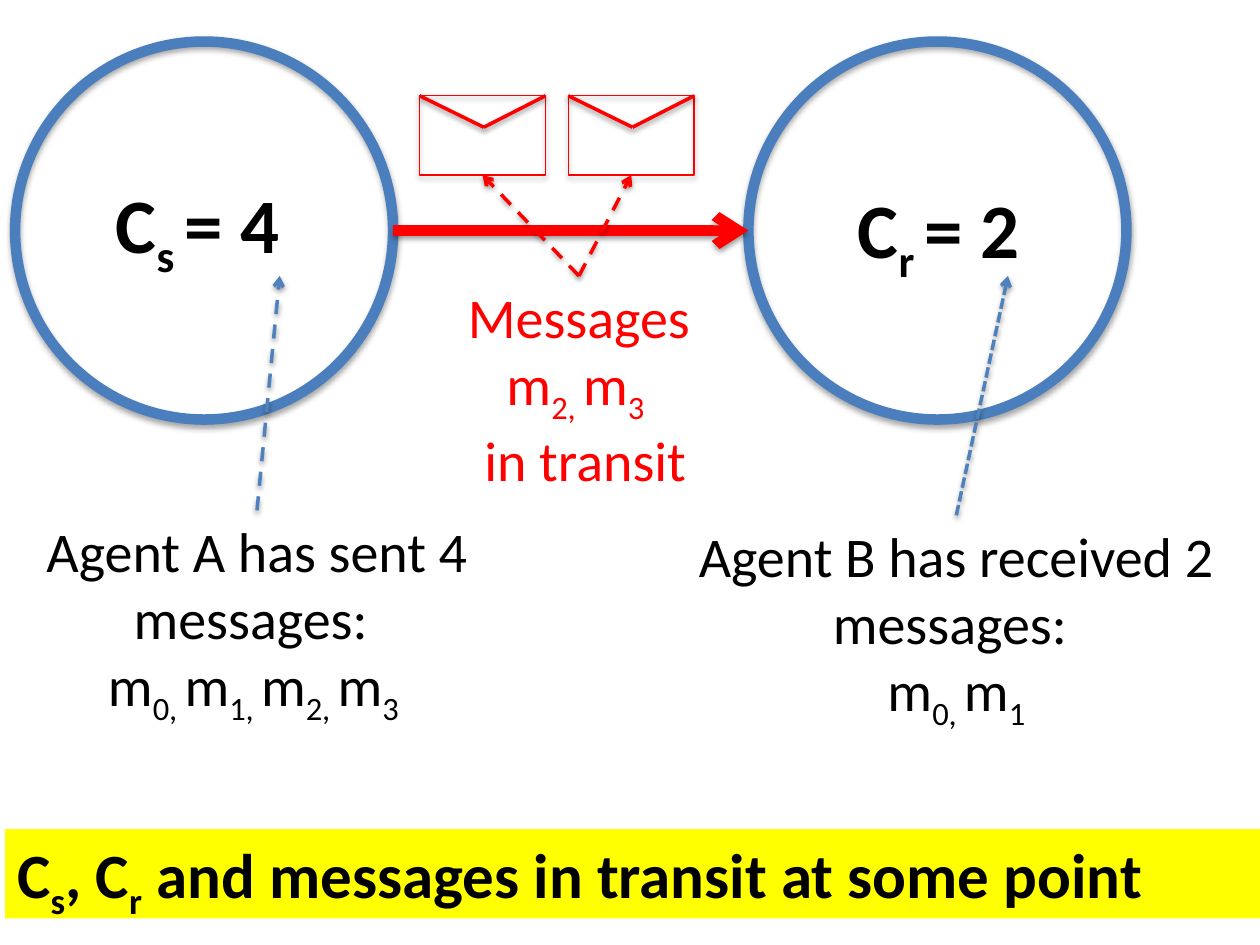
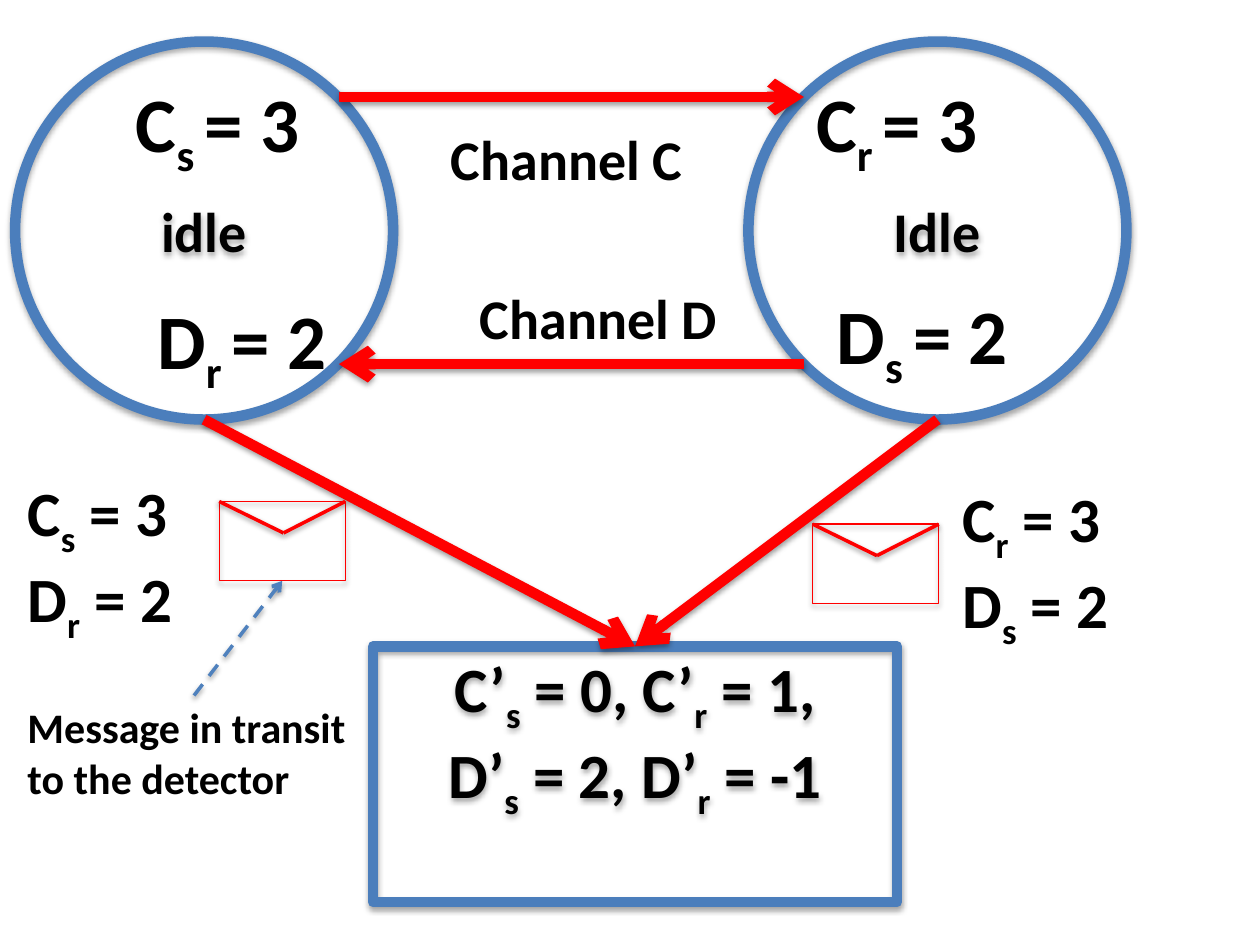
from dataclasses import dataclass

from lxml import etree
from pptx import Presentation
from pptx import util as u
from pptx.dml.color import RGBColor
from pptx.enum import dml, shapes, text
from pptx.oxml import ns

EMU_PER_PX = 9144
TOP, BOTTOM = 0, 2


@dataclass(frozen=True)
class Theme:
    font: str = "Calibri"
    ink: str = "000000"
    ring: str = "4B7EBC"
    pointer: str = "4F81BD"
    signal: str = "FF0000"
    banner: str = "FFFF00"
    count: int = 44
    formula: int = 36
    label: int = 32
    note: int = 24
    thick: float = 6
    thin: float = 2
    hairline: float = 0.75


THEME = Theme()
DASH = dml.MSO_LINE.DASH
SHORT_DASH = dml.MSO_LINE.SQUARE_DOT


def px(*lengths):
    return [u.Emu(length * EMU_PER_PX) for length in lengths]


def rgb(colour):
    return RGBColor.from_string(colour)


def add_xml(parent, tag, **attributes):
    return etree.SubElement(parent, ns.qn(tag), attributes)


def add_shadow(item, distance, opacity):
    effects = add_xml(item.element.spPr, "a:effectLst")
    shadow = add_xml(effects, "a:outerShdw", blurRad="40000", dist=str(distance),
                     dir="5400000", rotWithShape="0")
    colour = add_xml(shadow, "a:srgbClr", val=THEME.ink)
    add_xml(colour, "a:alpha", val=str(opacity * 1000))


def write(frame, lines, size, colour=THEME.ink, bold=True, align=text.PP_ALIGN.LEFT):
    """Text between tildes is set as subscript."""
    for number, line in enumerate(lines):
        para = frame.paragraphs[0] if number == 0 else frame.add_paragraph()
        para.alignment = align
        for position, words in enumerate(line.split("~")):
            if not words:
                continue
            span = para.add_run()
            span.text = words
            span.font.name = THEME.font
            span.font.size = u.Pt(size)
            span.font.bold = bold
            span.font.color.rgb = rgb(colour)
            if position % 2:
                span.font._element.set("baseline", "-25000")


def add_label(page, place, lines, size, wrap=True, fill=None, **style):
    box = page.shapes.add_textbox(*px(*place))
    box.text_frame.word_wrap = wrap
    box.text_frame.auto_size = text.MSO_AUTO_SIZE.SHAPE_TO_FIT_TEXT
    if fill:
        box.fill.solid()
        box.fill.fore_color.rgb = rgb(fill)
    write(box.text_frame, lines, size, **style)
    return box


def add_outline(holder, kind, place, colour, width, lines=(), size=THEME.label):
    box = holder.shapes.add_shape(kind, *px(*place))
    box.fill.background()
    box.line.color.rgb = rgb(colour)
    box.line.width = u.Pt(width)
    add_shadow(box, 23000, 35)
    box.text_frame.vertical_anchor = text.MSO_ANCHOR.MIDDLE
    write(box.text_frame, lines, size, align=text.PP_ALIGN.CENTER)
    return box


def add_line(holder, start, end, colour=THEME.signal, width=THEME.thin, dash=None, arrow=True):
    line = holder.shapes.add_connector(shapes.MSO_CONNECTOR.STRAIGHT, *px(*start, *end))
    line.line.color.rgb = rgb(colour)
    line.line.width = u.Pt(width)
    if dash:
        line.line.dash_style = dash
    if arrow:
        add_xml(line.element.spPr.find(ns.qn("a:ln")), "a:tailEnd", type="arrow")
    add_shadow(line, 20000, 38)
    return line


def add_envelope(page, left, top):
    group = page.shapes.add_group_shape()
    body = add_outline(group, shapes.MSO_SHAPE.RECTANGLE, (left, top, 100, 63),
                       THEME.signal, THEME.hairline)
    for corner in (left, left + 100):
        add_line(group, (corner, top), (left + 51, top + 25), arrow=False)
    return body


def add_agents(page, states=((), ())):
    for left, state in zip((12, 594), states):
        add_outline(page, shapes.MSO_SHAPE.OVAL, (left, 33, 300, 300),
                    THEME.ring, THEME.thick, state)


def add_count(page, left, top, width, formula):
    add_label(page, (left, top, width, 84), [formula], THEME.count, wrap=False)


def build_transit_page(page):
    add_agents(page)
    add_line(page, (312, 183), (594, 183), width=THEME.thick)
    add_count(page, 82, 135, 155, "C~s ~= 4")
    add_count(page, 671, 139, 153, "C~r ~= 2")
    envelopes = [add_envelope(page, left, 76) for left in (333, 451)]

    plain = dict(bold=False, align=text.PP_ALIGN.CENTER)
    sent = add_label(page, (25, 405, 358, 172),
                     ["Agent A has sent 4 messages: ", "m~0, ~m~1, ~m~2, ~m~3 ~"],
                     THEME.label, **plain)
    received = add_label(page, (522, 409, 474, 208),
                         ["Agent B has received 2 messages: ", "m~0, ~m~1~"],
                         THEME.label, **plain)
    for label, start, end, dash in ((sent, (204, 405), (222, 219), DASH),
                                    (received, (759, 409), (800, 219), SHORT_DASH)):
        pointer = add_line(page, start, end, THEME.pointer, dash=dash)
        pointer.begin_connect(label, TOP)

    transit = add_label(page, (325, 219, 269, 172),
                        ["Messages", "m~2, ~m~3 ~", " in transit"],
                        THEME.label, colour=THEME.signal, **plain)
    for envelope in envelopes:
        pointer = add_line(page, (459, 219), (459, 139), dash=DASH)
        pointer.begin_connect(transit, TOP)
        pointer.end_connect(envelope, BOTTOM)

    add_label(page, (4, 658, 996, 71),
              ["C~s~, C~r~ and messages in transit at some point"],
              THEME.formula, fill=THEME.banner)


def build_detector_page(page):
    add_agents(page, (["idle"], ["Idle"]))
    add_line(page, (269, 77), (638, 77), width=THEME.thick)
    add_line(page, (638, 289), (269, 289), width=THEME.thick)
    for left, top, width, formula in ((98, 55, 155, "C~s ~= 3"), (638, 55, 153, "C~r ~= 3"),
                                      (654, 223, 162, "D~s ~= 2"), (115, 227, 160, "D~r ~= 2")):
        add_count(page, left, top, width, formula)

    detector = add_outline(page, shapes.MSO_SHAPE.RECTANGLE, (296, 513, 416, 203),
                           THEME.ring, THEME.thick,
                           ["C’~s~ = 0, C’~r~ = 1,", "D’~s~ = 2, D’~r~ = -1"],
                           THEME.formula)
    detector.text_frame.margin_bottom = px(66)[0]
    for agent_middle in (744, 162):
        report = add_line(page, (agent_middle, 333), (504, 513), width=THEME.thick)
        report.end_connect(detector, TOP)

    envelope = add_envelope(page, 174, 398)
    add_envelope(page, 645, 416)
    add_label(page, (12, 371, 154, 131), ["C~s~ = 3", "D~r~ = 2"], THEME.formula)
    add_label(page, (754, 376, 154, 131), ["C~r~ = 3", "D~s~ = 2"], THEME.formula)
    add_label(page, (348, 94, 206, 64), ["Channel C"], THEME.label, wrap=False)
    add_label(page, (371, 220, 210, 64), ["Channel D"], THEME.label, wrap=False)

    note = add_label(page, (12, 552, 284, 91),
                     ["Message in transit to the detector"], THEME.note)
    pointer = add_line(page, (154, 552), (224, 461), THEME.pointer, dash=DASH)
    pointer.begin_connect(note, TOP)
    pointer.end_connect(envelope, BOTTOM)


def main():
    deck = Presentation()
    deck.slide_width, deck.slide_height = px(1000, 750)
    for build_page in (build_transit_page, build_detector_page):
        build_page(deck.slides.add_slide(deck.slide_layouts[6]))
    deck.save("out.pptx")


if __name__ == "__main__":
    main()
